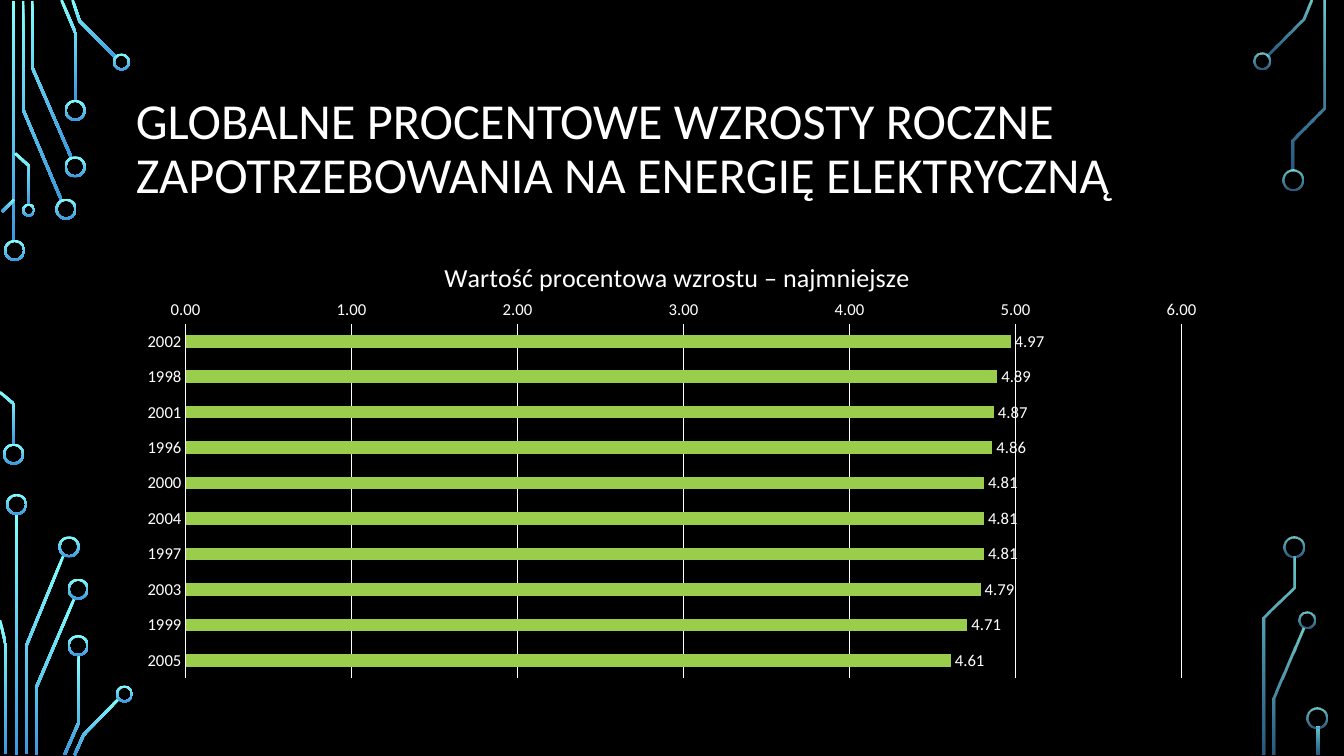
from dataclasses import dataclass
from math import hypot

from lxml import etree
from pptx import Presentation
from pptx.chart.data import CategoryChartData
from pptx.dml.color import RGBColor
from pptx.enum.chart import XL_CHART_TYPE, XL_LABEL_POSITION, XL_TICK_MARK
from pptx.enum.shapes import MSO_SHAPE
from pptx.enum.text import MSO_ANCHOR
from pptx.oxml.ns import qn
from pptx.util import Pt

BAR_CLUSTERED = XL_CHART_TYPE.BAR_CLUSTERED
OUTSIDE_END = XL_LABEL_POSITION.OUTSIDE_END
NO_TICK = XL_TICK_MARK.NONE
DONUT = MSO_SHAPE.DONUT
RECTANGLE = MSO_SHAPE.RECTANGLE
MIDDLE = MSO_ANCHOR.MIDDLE

PX = 9144
PAGE_SIZE = (1333, 750)
TRACE_WIDTH = 2.6
RING_WIDTH = 2


@dataclass(frozen=True)
class Theme:
    font: str = "Calibri"
    background: RGBColor = RGBColor(0, 0, 0)
    text: RGBColor = RGBColor(255, 255, 255)
    bar: RGBColor = RGBColor(0x9A, 0xCD, 0x4C)
    glow: tuple = (RGBColor(0x82, 0xFF, 0xFF), RGBColor(0x3D, 0x97, 0xDE))
    title_size: float = 36
    chart_title_size: float = 18.6
    label_size: float = 11.9
    hairline: float = 0.75


@dataclass(frozen=True)
class Circuit:
    box: tuple
    opacity: tuple
    rings: tuple
    traces: tuple
    rails: tuple


THEME = Theme()

LEFT_CIRCUIT = Circuit(
    box=(0, 0, 132, 750),
    opacity=(100, 100),
    rings=((4, 238, 21), (3, 440, 21), (55, 197, 21), (64, 155, 21),
           (64, 99, 21), (112, 53, 17), (22, 202, 13), (6, 490, 21),
           (58, 532, 21), (67, 574, 21), (67, 630, 21), (115, 680, 17)),
    traces=(((23, 1), (23, 109), (61, 199)),
            ((32, 1), (32, 67), (71, 157)),
            ((61, 0), (75, 33), (75, 100)),
            ((72, 0), (79, 21), (115, 57)),
            ((2, 210), (14, 198)),
            ((0, 389), (14, 401), (14, 441)),
            ((15, 152), (29, 165), (29, 203)),
            ((26, 748), (26, 641), (63, 551)),
            ((0, 615), (6, 641), (6, 748)),
            ((36, 749), (36, 682), (74, 593)),
            ((64, 749), (78, 717), (78, 650)),
            ((74, 749), (83, 729), (118, 693))),
    rails=((12, 1, 3, 239), (15, 510, 3, 239)),
)

RIGHT_CIRCUIT = Circuit(
    box=(1243, 0, 74, 750),
    opacity=(80, 60),
    rings=((0, 52, 17), (29, 168, 21), (45, 607, 17), (30, 532, 21),
           (53, 702, 21)),
    traces=(((58, 0), (50, 19), (14, 55)),
            ((20, 749), (20, 693), (50, 623)),
            ((70, 1), (70, 107), (39, 139), (39, 169)),
            ((41, 552), (41, 583), (10, 613), (10, 749))),
    rails=((63, 721, 3, 28),),
)

GROWTH = {
    "2002": 4.97, "1998": 4.89, "2001": 4.87, "1996": 4.86, "2000": 4.81,
    "2004": 4.81, "1997": 4.81, "2003": 4.79, "1999": 4.71, "2005": 4.61,
}


def emu(*lengths):
    return [round(length * PX) for length in lengths]


def style_font(font, size):
    font.name = THEME.font
    font.size = Pt(size)
    font.bold = False
    font.color.rgb = THEME.text


def paint_glow(shape, opacity):
    shape.shadow.inherit = False
    shape.line.fill.background()
    shape.fill.gradient()
    shape.fill.gradient_angle = 270
    for stop, color, position in zip(shape.fill.gradient_stops, THEME.glow, (0, 1)):
        stop.color.rgb = color
        stop.position = position
    for color, percent in zip(shape._element.spPr.iter(qn("a:srgbClr")), opacity):
        if percent < 100:
            etree.SubElement(color, qn("a:alpha"), val=str(percent * 1000))


def trace_side(points, offset):
    normals = []
    for (x1, y1), (x2, y2) in zip(points, points[1:]):
        length = hypot(x2 - x1, y2 - y1)
        normals.append(((y1 - y2) / length, (x2 - x1) / length))
    befores = normals[:1] + normals
    afters = normals + normals[-1:]
    side = []
    for (x, y), (ax, ay), (bx, by) in zip(points, befores, afters):
        miter = offset / (1 + ax * bx + ay * by)
        side.append((x + (ax + bx) * miter, y + (ay + by) * miter))
    return side


def add_circuit(page, circuit):
    left, top = circuit.box[:2]
    for x, y, width, height in circuit.rails:
        rail = page.shapes.add_shape(RECTANGLE, *emu(left + x, top + y, width, height))
        paint_glow(rail, circuit.opacity)
    for points in circuit.traces:
        placed = [(left + x, top + y) for x, y in points]
        half = TRACE_WIDTH / 2
        outline = trace_side(placed, half) + trace_side(placed, -half)[::-1]
        start, *corners = [emu(*point) for point in outline]
        builder = page.shapes.build_freeform(*start, scale=1.0)
        builder.add_line_segments(corners, close=True)
        paint_glow(builder.convert_to_shape(), circuit.opacity)
    for x, y, size in circuit.rings:
        ring = page.shapes.add_shape(DONUT, *emu(left + x, top + y, size, size))
        ring.adjustments[0] = RING_WIDTH / size
        paint_glow(ring, circuit.opacity)


def add_title(page, box, text):
    frame = page.shapes.add_textbox(*emu(*box)).text_frame
    frame.word_wrap = True
    frame.vertical_anchor = MIDDLE
    para = frame.paragraphs[0]
    para.line_spacing = 0.9
    span = para.add_run()
    span.text = text
    style_font(span.font, THEME.title_size)


def set_layout(parent, index, settings):
    for old in parent.findall(qn("c:layout")):
        parent.remove(old)
    layout = etree.Element(qn("c:layout"))
    manual = etree.SubElement(layout, qn("c:manualLayout"))
    for name, value in settings.items():
        etree.SubElement(manual, qn("c:" + name), val=str(value))
    parent.insert(index, layout)


def style_line(line):
    line.color.rgb = THEME.text
    line.width = Pt(THEME.hairline)


def add_growth_chart(page, box, title):
    data = CategoryChartData(number_format="0.00")
    data.categories = list(GROWTH)
    data.add_series("Series 1", list(GROWTH.values()))
    chart = page.shapes.add_chart(BAR_CLUSTERED, *emu(*box), data).chart
    chart.has_legend = False
    style_font(chart.font, THEME.label_size)

    chart.has_title = True
    span = chart.chart_title.text_frame.paragraphs[0].add_run()
    span.text = title
    style_font(span.font, THEME.chart_title_size)
    chart.chart_title.include_in_layout = False

    width, height = box[2:]
    set_layout(chart.chart_title._element, 1, {
        "xMode": "edge", "yMode": "edge",
        "x": 311 / width, "y": 20 / height})
    set_layout(chart._chartSpace.chart.plotArea, 0, {
        "layoutTarget": "inner", "xMode": "edge", "yMode": "edge",
        "x": 59 / width, "y": 89 / height,
        "w": 988 / width, "h": 352 / height})

    years, percents = chart.category_axis, chart.value_axis
    for axis in (years, percents):
        axis.major_tick_mark = axis.minor_tick_mark = NO_TICK
        style_font(axis.tick_labels.font, THEME.label_size)
    years.reverse_order = True
    style_line(years.format.line)
    percents.minimum_scale, percents.maximum_scale, percents.major_unit = 0, 6, 1
    percents.tick_labels.number_format = "0.00"
    percents.tick_labels.number_format_is_linked = False
    percents.format.line.fill.background()
    style_line(percents.major_gridlines.format.line)

    plot = chart.plots[0]
    plot.gap_width = 182
    plot.vary_by_categories = False
    fill = plot.series[0].format.fill
    fill.solid()
    fill.fore_color.rgb = THEME.bar
    plot.has_data_labels = True
    labels = plot.data_labels
    labels.show_value = True
    labels.position = OUTSIDE_END
    style_font(labels.font, THEME.label_size)


def main():
    deck = Presentation()
    deck.slide_width, deck.slide_height = emu(*PAGE_SIZE)
    page = deck.slides.add_slide(deck.slide_layouts[6])
    page.background.fill.solid()
    page.background.fill.fore_color.rgb = THEME.background
    add_circuit(page, LEFT_CIRCUIT)
    add_circuit(page, RIGHT_CIRCUIT)
    add_title(page, (125, 68, 1083, 162),
              "GLOBALNE PROCENTOWE WZROSTY ROCZNE ZAPOTRZEBOWANIA NA ENERGIĘ ELEKTRYCZNĄ")
    add_growth_chart(page, (125, 232, 1083, 451),
                     "Wartość procentowa wzrostu – najmniejsze")
    deck.save("out.pptx")


if __name__ == "__main__":
    main()
